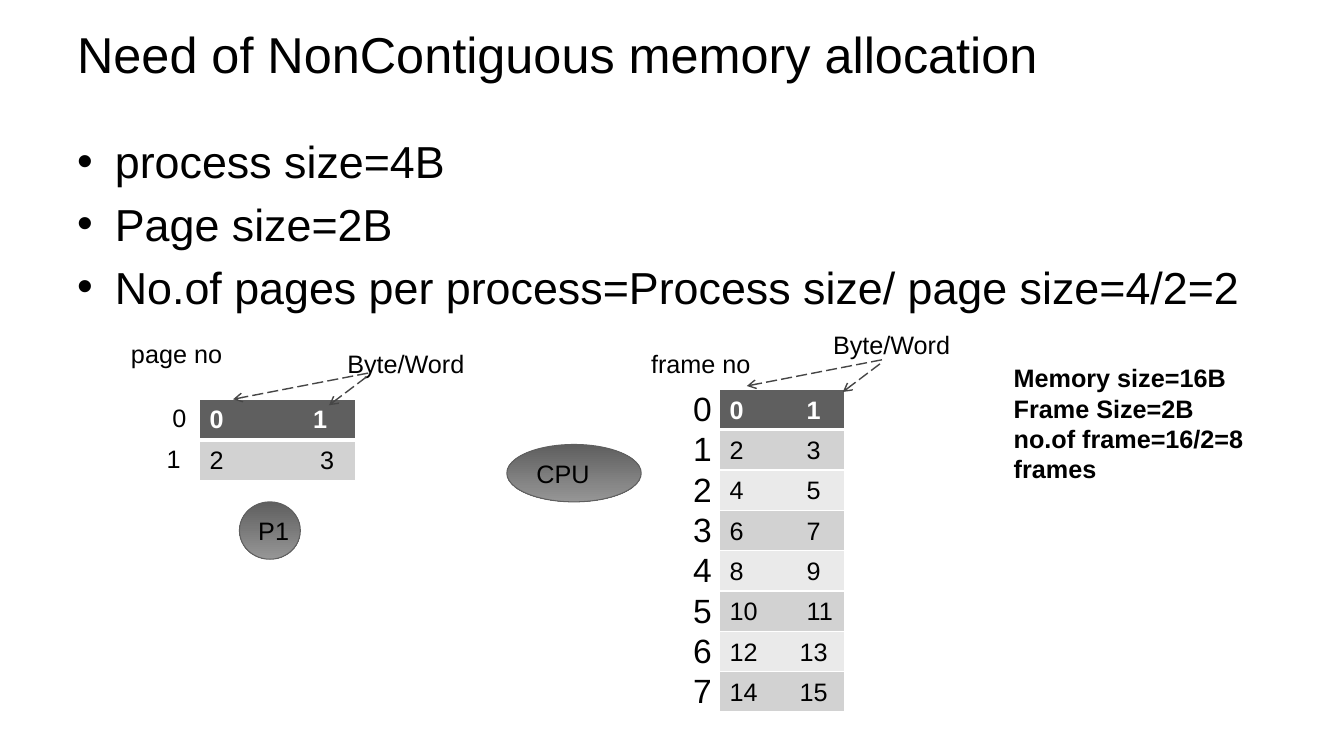
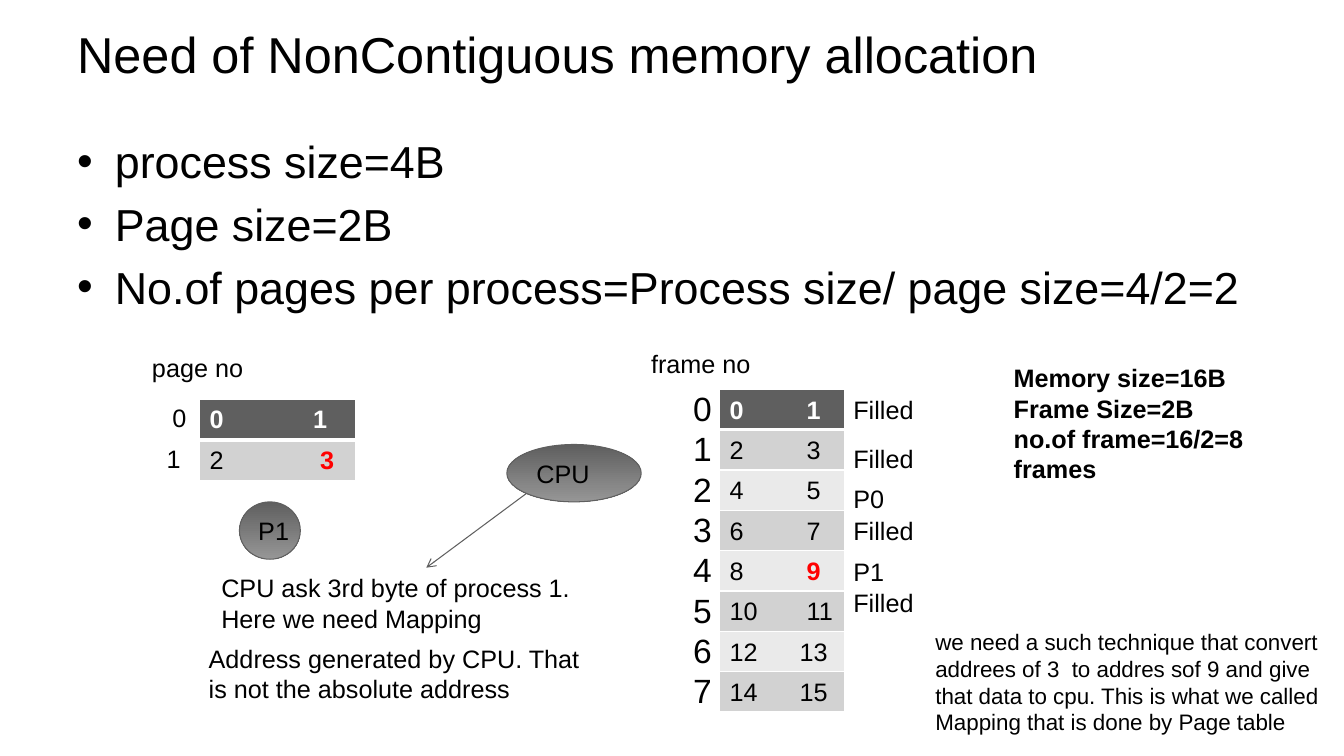
"""Build two slides on noncontiguous memory allocation."""
from lxml import etree
from pptx import Presentation
from pptx import util as u
from pptx.dml.color import RGBColor
from pptx.enum import dml, shapes, text
from pptx.oxml import ns

Pt = u.Pt


class Deck:
    colours = {"ink": "000000", "paper": "FFFFFF", "dark": "5F5F5F", "light": "969696",
               "arrow": "464646", "odd": "D2D2D2", "even": "EAEAEA", "accent": "FF0000"}
    font = "Arial"
    leading = 1.2

    def __init__(self):
        self.prs = Presentation()
        self.prs.slide_width, self.prs.slide_height = Pt(960), Pt(540)
        self.slide = None

    def rgb(self, name):
        return RGBColor.from_string(self.colours[name])

    def new_slide(self):
        self.slide = self.prs.slides.add_slide(self.prs.slide_layouts[6])

    def apply(self, target, **values):
        for name, value in values.items():
            setattr(target, name, value)

    def child(self, parent, tag, **attributes):
        return etree.SubElement(parent, ns.qn(tag), attributes)

    def run(self, paragraph, wording, size=18, bold=False, colour="ink"):
        run = paragraph.add_run()
        run.text = wording
        self.apply(run.font, name=self.font, size=Pt(size), bold=bold)
        run.font.color.rgb = self.rgb(colour)

    def lines(self, frame, wordings, size=18, bold=False, bullet=False):
        for number, wording in enumerate(wordings):
            paragraph = frame.add_paragraph() if number else frame.paragraphs[0]
            self.apply(paragraph, alignment=text.PP_ALIGN.LEFT,
                       line_spacing=Pt(size * self.leading))
            self.run(paragraph, wording, size, bold)
            if bullet:
                paragraph.space_before = Pt(size * 0.2)
                props = paragraph._p.get_or_add_pPr()
                props.set("marL", str(Pt(27)))
                props.set("indent", str(-Pt(27)))
                self.child(props, "a:buFont", typeface=self.font)
                self.child(props, "a:buChar", char="•")

    def label(self, left, top, width, height, *wordings, grow=True, middle=False, **style):
        box = self.slide.shapes.add_textbox(Pt(left), Pt(top), Pt(width), Pt(height))
        fit = text.MSO_AUTO_SIZE
        anchor = text.MSO_ANCHOR
        self.apply(box.text_frame, word_wrap=True,
                   auto_size=fit.SHAPE_TO_FIT_TEXT if grow else fit.NONE,
                   vertical_anchor=anchor.MIDDLE if middle else anchor.TOP)
        self.lines(box.text_frame, wordings, **style)
        return box

    def ellipse(self, left, top, width, height, wording):
        oval = self.slide.shapes.add_shape(
            shapes.MSO_SHAPE.OVAL, Pt(left), Pt(top), Pt(width), Pt(height))
        oval.shadow.inherit = False
        oval.fill.gradient()
        oval.fill.gradient_angle = 270
        for stop, position, shade in zip(oval.fill.gradient_stops, (0, 1), ("dark", "light")):
            stop.position = position
            stop.color.rgb = self.rgb(shade)
        oval.line.color.rgb = self.rgb("dark")
        oval.line.width = Pt(0.75)
        self.apply(oval.text_frame, word_wrap=False, vertical_anchor=text.MSO_ANCHOR.MIDDLE)
        self.lines(oval.text_frame, [wording])

    def arrow(self, start, end, colour="arrow", width=1, dash=dml.MSO_LINE.LONG_DASH):
        line = self.slide.shapes.add_connector(
            shapes.MSO_CONNECTOR.STRAIGHT, *(Pt(value) for value in (*start, *end)))
        line.line.color.rgb = self.rgb(colour)
        self.apply(line.line, width=Pt(width), dash_style=dash)
        self.child(line.line._get_or_add_ln(), "a:tailEnd", type="arrow")
        self.child(line._element.spPr, "a:effectLst")
        return line

    def borders(self, cell, bottom):
        props = cell._tc.get_or_add_tcPr()
        for place, (side, width) in enumerate(zip("LRTB", (1, 1, 1, bottom))):
            edge = etree.Element(ns.qn(f"a:ln{side}"), {"w": str(Pt(width))})
            fill = self.child(edge, "a:solidFill")
            self.child(fill, "a:srgbClr", val=self.colours["paper"])
            props.insert(place, edge)

    def byte_table(self, left, top, width, row_height, stops, asked):
        count = len(stops)
        table = self.slide.shapes.add_table(
            count, 1, Pt(left), Pt(top), Pt(width), Pt(row_height * count)).table
        table.horz_banding = False
        for row, stop in enumerate(stops):
            table.rows[row].height = Pt(row_height)
            cell = table.cell(row, 0)
            header = row == 0
            cell.fill.solid()
            cell.fill.fore_color.rgb = self.rgb("dark" if header else "odd" if row % 2 else "even")
            self.borders(cell, 3 if header else 1)
            paragraph = cell.text_frame.paragraphs[0]
            paragraph.line_spacing = Pt(18 * self.leading)
            tabs = self.child(paragraph._p.get_or_add_pPr(), "a:tabLst")
            self.child(tabs, "a:tab", pos=str(Pt(stop)), algn="l")
            ink = "paper" if header else "ink"
            second = 2 * row + 1
            hit = second == asked
            self.run(paragraph, f"{2 * row}\t", bold=header, colour=ink)
            self.run(paragraph, str(second), bold=header or hit, colour="accent" if hit else ink)

    def byte_word(self, left, top, tip_x, tip_y):
        self.label(left, top, 164, 29, "Byte/Word")
        self.arrow((tip_x, tip_y), (tip_x - 96.5, tip_y + 18.7))
        self.arrow((tip_x - 1.4, tip_y + 2.9), (tip_x - 28, tip_y + 23))

    def memory_slide(self, page_label, body_height, asked_byte=None, found_byte=None):
        self.new_slide()
        self.label(48, 15, 864, 46, "Need of NonContiguous memory allocation",
                   size=36, grow=False, middle=True)
        self.label(48, 92, 864, body_height, "process size=4B", "Page size=2B",
                   "No.of pages per process=Process size/ page size=4/2=2",
                   size=32, bullet=True, grow=False)
        self.byte_table(142.5, 285, 111.5, 29.2, (74, 79), asked_byte)
        self.ellipse(171, 358.5, 43.5, 41, "P1")
        self.label(*page_label, 86, 29, "page no")
        self.label(116, 284, 26, 29, "0")
        self.label(112, 313, 29, 29, "1")
        self.byte_table(514, 278, 89, 28.8, [55] * 6 + [50] * 2, found_byte)
        self.label(488, 273.5, 26, 240, *map(str, range(8)), size=24)
        self.label(458, 245, 86, 29, "frame no")
        self.label(717, 255.5, 206, 94, "Memory size=16B", "Frame Size=2B",
                   "no.of frame=16/2=8 frames", bold=True)
        self.ellipse(362, 317.5, 96, 41, "CPU")


def main():
    deck = Deck()
    deck.memory_slide((86.5, 238), 390)
    deck.byte_word(241, 245, 263, 266.5)
    deck.byte_word(588, 232, 630, 257)

    deck.memory_slide((101.5, 248), 137.5, asked_byte=3, found_byte=9)
    states = {278: "Filled", 313: "Filled", 342: "P0", 364.5: "Filled", 394: "P1", 416: "Filled"}
    for top, state in states.items():
        deck.label(602.5, top, 86, 29, state)
    request = deck.label(151, 405.5, 307, 51,
                         "CPU ask 3rd byte of process 1. Here we need Mapping")
    pointer = deck.arrow((376, 352.5), (304.5, 405.5), "dark", 0.75, dml.MSO_LINE.SOLID)
    pointer.end_connect(request, 0)
    deck.label(142, 456, 290, 51, "Address generated by CPU. That is not the absolute address")
    deck.label(661, 445, 290, 85,
               "we need a such technique that convert addrees of 3  to addres sof 9 and give "
               "that data to cpu. This is what we called Mapping that is done by Page table",
               size=16)
    deck.prs.save("out.pptx")


if __name__ == "__main__":
    main()
